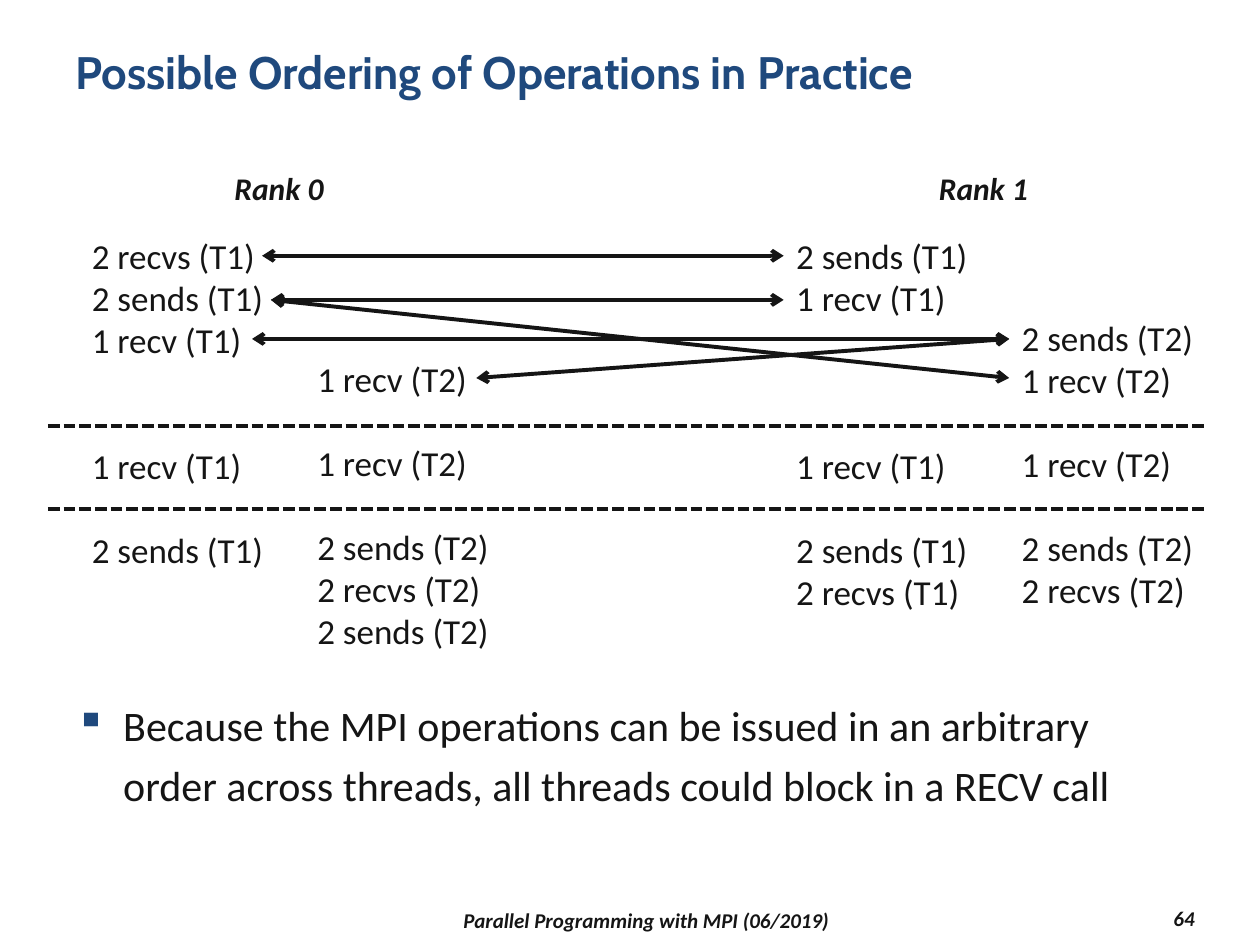
from lxml import etree
from pptx import Presentation
from pptx.dml.color import RGBColor
from pptx.enum.dml import MSO_LINE
from pptx.enum.shapes import MSO_CONNECTOR
from pptx.enum.text import MSO_ANCHOR, PP_ALIGN
from pptx.oxml.ns import qn
from pptx.util import Inches, Pt

STRAIGHT = MSO_CONNECTOR.STRAIGHT
DASH = MSO_LINE.SQUARE_DOT
TOP, MIDDLE = MSO_ANCHOR.TOP, MSO_ANCHOR.MIDDLE
LEFT, CENTER, RIGHT = PP_ALIGN.LEFT, PP_ALIGN.CENTER, PP_ALIGN.RIGHT

COLORS = {"ink": "151515", "accent": "1F497D"}
ROW_POINTS = 24
THREAD_GAP = 1.79
RANK_LEFT = (0.63, 6.22)


def add_text(page, text, left, top, width, height, size=20, font="Calibri",
             color="ink", bold=False, italic=False, align=LEFT, anchor=TOP,
             wrap=True):
    box = page.shapes.add_textbox(Inches(left), Inches(top),
                                  Inches(width), Inches(height))
    frame = box.text_frame
    frame.word_wrap = wrap
    frame.vertical_anchor = anchor
    frame.text = text
    for para in frame.paragraphs:
        para.alignment = align
        for span in para.runs:
            span.font.name = font
            span.font.size = Pt(size)
            span.font.bold = bold
            span.font.italic = italic
            span.font.color.rgb = RGBColor.from_string(COLORS[color])
    return box


def add_line(page, start, end, dashed=False, arrows=False):
    line = page.shapes.add_connector(STRAIGHT, *map(Inches, start + end))
    line.line.width = Pt(2.25)
    line.line.color.rgb = RGBColor.from_string(COLORS["ink"])
    if dashed:
        line.line.dash_style = DASH
    if arrows:
        outline = line.line._get_or_add_ln()
        for tag in ("a:headEnd", "a:tailEnd"):
            etree.SubElement(outline, qn(tag), type="arrow")
    etree.SubElement(line._element.spPr, qn("a:effectLst"))


def add_thread(page, left, top, groups):
    lines = [text for group in groups for text in group[1]]
    rows = len(lines) + sum(gap for gap, _ in groups)
    box = add_text(page, "\n".join(lines), left, top, 1.58,
                   rows * ROW_POINTS / 72 + 0.1, wrap=False)
    index = 0
    for gap, texts in groups:
        if gap:
            box.text_frame.paragraphs[index].space_before = Pt(gap * ROW_POINTS)
        index += len(texts)


def add_rank(page, name, left, top, first_thread, second_thread, second_top):
    add_text(page, name, left + 0.67, top, 1.83, 0.4, size=18,
             bold=True, italic=True, align=CENTER)
    add_thread(page, left, top + 0.52, first_thread)
    add_thread(page, left + THREAD_GAP, second_top, second_thread)


def add_ordering(page, left, right, top):
    add_rank(page, "Rank 0", RANK_LEFT[0], top,
             [(0, ["2 recvs (T1)", "2 sends (T1)", "1 recv (T1)"]),
              (2, ["1 recv (T1)"]), (1, ["2 sends (T1)"])],
             [(0, ["1 recv (T2)"]), (1, ["1 recv (T2)"]),
              (1, ["2 sends (T2)", "2 recvs (T2)", "2 sends (T2)"])], 2.79)
    add_rank(page, "Rank 1", RANK_LEFT[1], top,
             [(0, ["2 sends (T1)", "1 recv (T1)"]),
              (3, ["1 recv (T1)"]), (1, ["2 sends (T1)", "2 recvs (T1)"])],
             [(0, ["2 sends (T2)", "1 recv (T2)"]), (1, ["1 recv (T2)"]),
              (1, ["2 sends (T2)", "2 recvs (T2)"])], 2.46)
    for y in (3.38, 4.04):
        add_line(page, (left, y), (right, y), dashed=True)
    first = RANK_LEFT[1]
    second = first + THREAD_GAP
    for start, end in (((2.08, 2.03), (first, 2.03)),
                       ((2.15, 2.38), (second, 3)),
                       ((2.15, 2.38), (first, 2.38)),
                       ((2, 2.69), (second, 2.69)),
                       ((3.78, 3), (second, 2.69))):
        add_line(page, start, end, arrows=True)


def add_conclusion(page, left, top, width, height):
    box = add_text(page, "Because the MPI operations can be issued in an "
                   "arbitrary order across threads, all threads could block "
                   "in a RECV call", left, top, width, height, size=24)
    para = box.text_frame.paragraphs[0]
    para.line_spacing = 1.2
    props = para._p.get_or_add_pPr()
    props.set("marL", str(Inches(0.38)))
    props.set("indent", str(-Inches(0.38)))
    bullet_color = etree.SubElement(props, qn("a:buClr"))
    etree.SubElement(bullet_color, qn("a:srgbClr"), val=COLORS["accent"])
    etree.SubElement(props, qn("a:buChar"), char="▪")


def add_footer(page, top, height):
    style = {"size": 12, "bold": True, "italic": True, "anchor": MIDDLE}
    add_text(page, "Parallel Programming with MPI (06/2019)",
             2.17, top + 0.02, 5.92, height, align=CENTER, **style)
    add_text(page, "64", 8.5, top, 1.08, height, align=RIGHT, **style)


def main():
    deck = Presentation()
    deck.slide_width, deck.slide_height = Inches(10), Inches(7.5)
    page = deck.slides.add_slide(deck.slide_layouts[6])
    add_text(page, "Possible Ordering of Operations in Practice",
             0.5, 0.3, 9, 0.87, size=26, font="Cabin", color="accent", bold=True)
    add_ordering(page, 0.38, 9.58, 1.29)
    add_conclusion(page, 0.5, 5.42, 9, 1.5)
    add_footer(page, 7.15, 0.27)
    deck.save("out.pptx")


if __name__ == "__main__":
    main()
